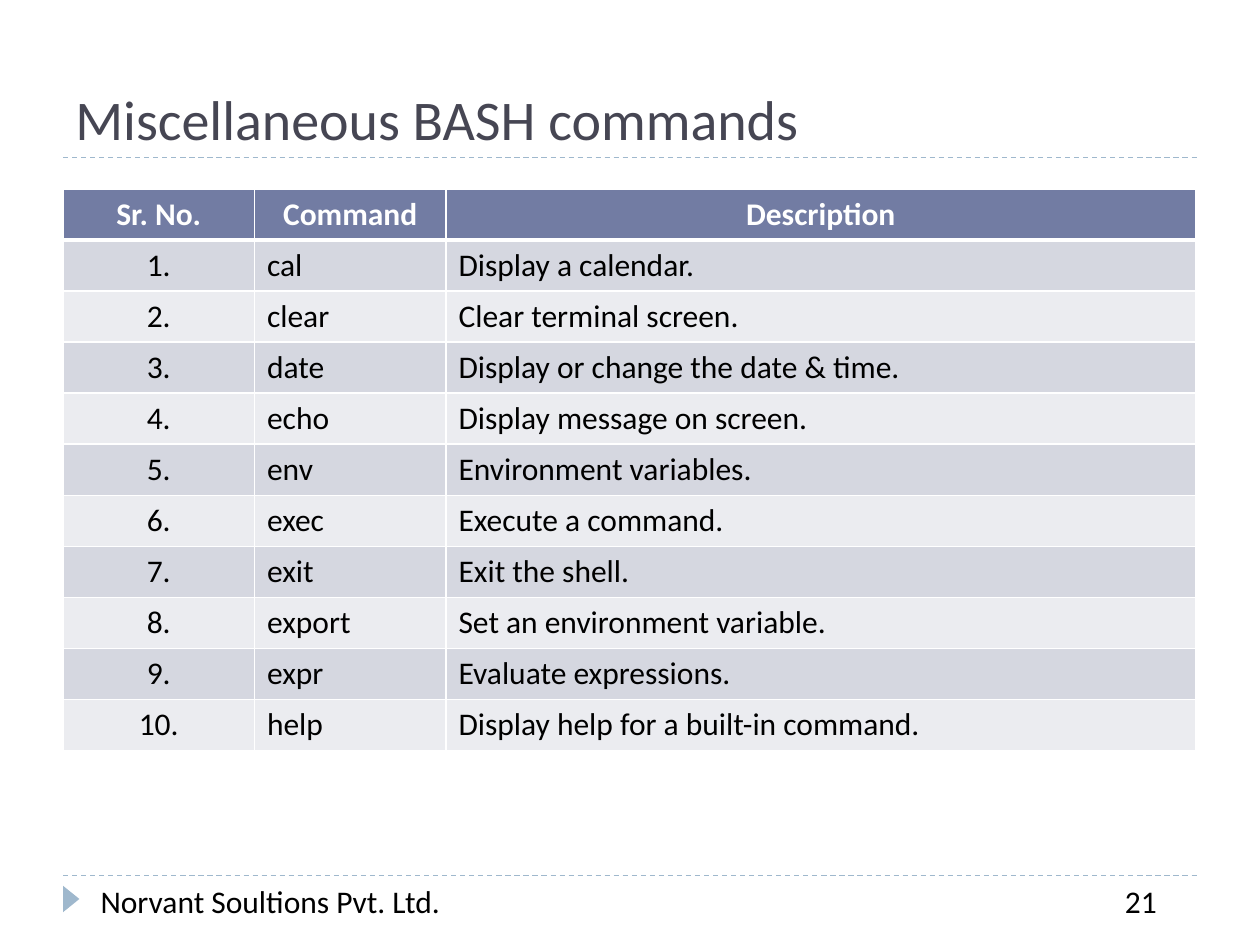
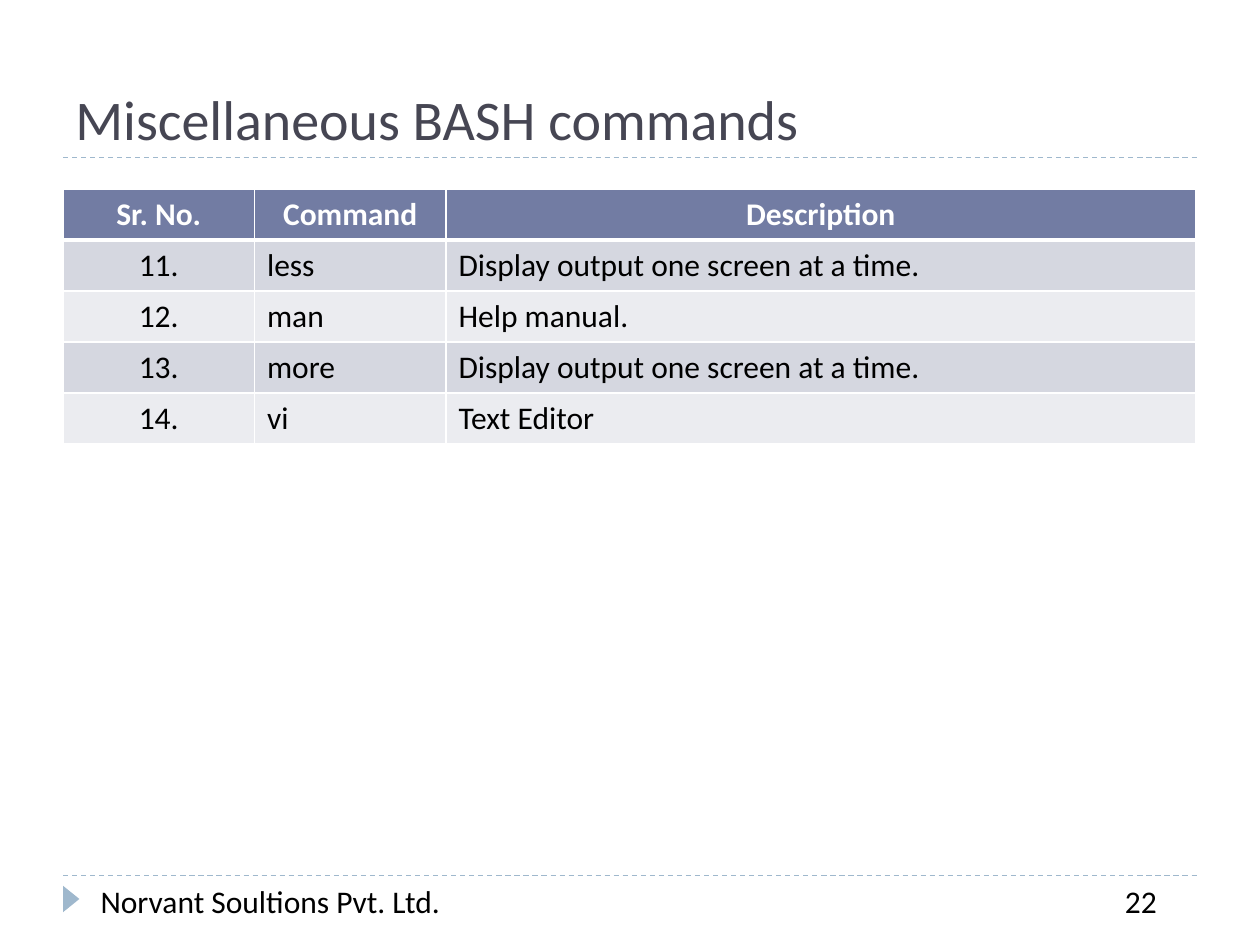
"""Build two slides that list miscellaneous BASH commands in tables."""
from typing import NamedTuple

from lxml.etree import SubElement
from pptx import Presentation
from pptx.dml.color import RGBColor
from pptx.enum.dml import MSO_LINE
from pptx.enum.shapes import MSO_CONNECTOR, MSO_SHAPE
from pptx.enum.text import MSO_ANCHOR, PP_ALIGN
from pptx.oxml.ns import qn
from pptx.util import Inches, Pt

FONT = "Calibri"
WHITE, BLACK = "FFFFFF", "000000"
TITLE_COLOR, ACCENT, HEADER_FILL = "464653", "9FB8CD", "727CA3"
BAND_FILLS = ("D5D7E0", "EBECF0")
LEFT, WIDTH = 0.5, 9
TITLE_RULE, FOOTER_TOP = 1.25, 6.95
TABLE_TOP = 1.5
COLUMN_WIDTHS = (1.52, 1.52, 5.95)
ROW_HEIGHT = 4.46 / 11
TITLE = "Miscellaneous BASH commands"
COMPANY = "Norvant Soultions Pvt. Ltd."
HEADINGS = ("Sr. No.", "Command", "Description")


class Command(NamedTuple):
    name: str
    description: str


class CommandPage(NamedTuple):
    number: int
    first: int
    commands: tuple[Command, ...]


PAGES = (
    CommandPage(21, 1, (
        Command("cal", "Display a calendar."),
        Command("clear", "Clear terminal screen."),
        Command("date", "Display or change the date & time."),
        Command("echo", "Display message on screen."),
        Command("env", "Environment variables."),
        Command("exec", "Execute a command."),
        Command("exit", "Exit the shell."),
        Command("export", "Set an environment variable."),
        Command("expr", "Evaluate expressions."),
        Command("help", "Display help for a built-in command."),
    )),
    CommandPage(22, 11, (
        Command("less", "Display output one screen at a time."),
        Command("man", "Help manual."),
        Command("more", "Display output one screen at a time."),
        Command("vi", "Text Editor"),
    )),
)


def rgb(color: str) -> RGBColor:
    return RGBColor.from_string(color)


def write(frame, text: str, size: float = 18, color: str = BLACK,
          bold: bool = False, align=PP_ALIGN.LEFT) -> None:
    paragraph = frame.paragraphs[0]
    paragraph.text = text
    paragraph.alignment = align
    font = paragraph.font
    font.name, font.size, font.bold = FONT, Pt(size), bold
    font.color.rgb = rgb(color)


def add_text(slide, left: float, top: float, width: float, height: float,
             text: str, size: float = 18, color: str = BLACK,
             anchor=MSO_ANCHOR.TOP) -> None:
    box = slide.shapes.add_textbox(Inches(left), Inches(top), Inches(width), Inches(height))
    box.text_frame.word_wrap = True
    box.text_frame.vertical_anchor = anchor
    write(box.text_frame, text, size, color)


def add_rule(slide, top: float) -> None:
    rule = slide.shapes.add_connector(
        MSO_CONNECTOR.STRAIGHT, Inches(LEFT), Inches(top), Inches(LEFT + WIDTH), Inches(top))
    rule.line.color.rgb = rgb(ACCENT)
    rule.line.width = Pt(0.75)
    rule.line.dash_style = MSO_LINE.DASH
    SubElement(rule.element.spPr, qn("a:effectLst"))


def add_frame(slide, number: int) -> None:
    add_rule(slide, FOOTER_TOP)
    add_rule(slide, TITLE_RULE)
    marker = slide.shapes.add_shape(
        MSO_SHAPE.ISOSCELES_TRIANGLE, Inches(0.46), Inches(7.07), Inches(0.21), Inches(0.13))
    marker.rotation = 90
    marker.shadow.inherit = False
    marker.fill.solid()
    marker.fill.fore_color.rgb = rgb(ACCENT)
    marker.line.fill.background()
    add_text(slide, LEFT, 0.17, WIDTH, 1.08, TITLE, 32, TITLE_COLOR, MSO_ANCHOR.BOTTOM)
    add_text(slide, 0.7, FOOTER_TOP, 3.8, 0.4, COMPANY)
    add_text(slide, 8.83, FOOTER_TOP, 0.67, 0.4, str(number))


def set_borders(cell, top: float, bottom: float) -> None:
    properties = cell._tc.get_or_add_tcPr()
    for side, width in (("L", 1), ("R", 1), ("T", top), ("B", bottom)):
        border = SubElement(properties, qn(f"a:ln{side}"), w=str(Pt(width)))
        fill = SubElement(border, qn("a:solidFill"))
        SubElement(fill, qn("a:srgbClr"), val=WHITE)


def add_command_table(slide, page: CommandPage) -> None:
    rows = [HEADINGS] + [
        (f"{number}.", *command) for number, command in enumerate(page.commands, page.first)]
    table = slide.shapes.add_table(
        len(rows), len(HEADINGS), Inches(LEFT), Inches(TABLE_TOP),
        Inches(WIDTH), Inches(ROW_HEIGHT * len(rows))).table
    for column, width in zip(table.columns, COLUMN_WIDTHS):
        column.width = Inches(width)
    for row_index, texts in enumerate(rows):
        table.rows[row_index].height = Inches(ROW_HEIGHT)
        header = row_index == 0
        fill = HEADER_FILL if header else BAND_FILLS[(row_index - 1) % 2]
        for column_index, text in enumerate(texts):
            cell = table.cell(row_index, column_index)
            set_borders(cell, 3 if row_index == 1 else 1, 3 if header else 1)
            cell.fill.solid()
            cell.fill.fore_color.rgb = rgb(fill)
            centred = header or column_index == 0
            write(cell.text_frame, text, color=WHITE if header else BLACK, bold=header,
                  align=PP_ALIGN.CENTER if centred else PP_ALIGN.LEFT)


def main() -> None:
    presentation = Presentation()
    presentation.slide_width, presentation.slide_height = Inches(10), Inches(7.5)
    for page in PAGES:
        slide = presentation.slides.add_slide(presentation.slide_layouts[6])
        add_frame(slide, page.number)
        add_command_table(slide, page)
    presentation.save("out.pptx")


main()
